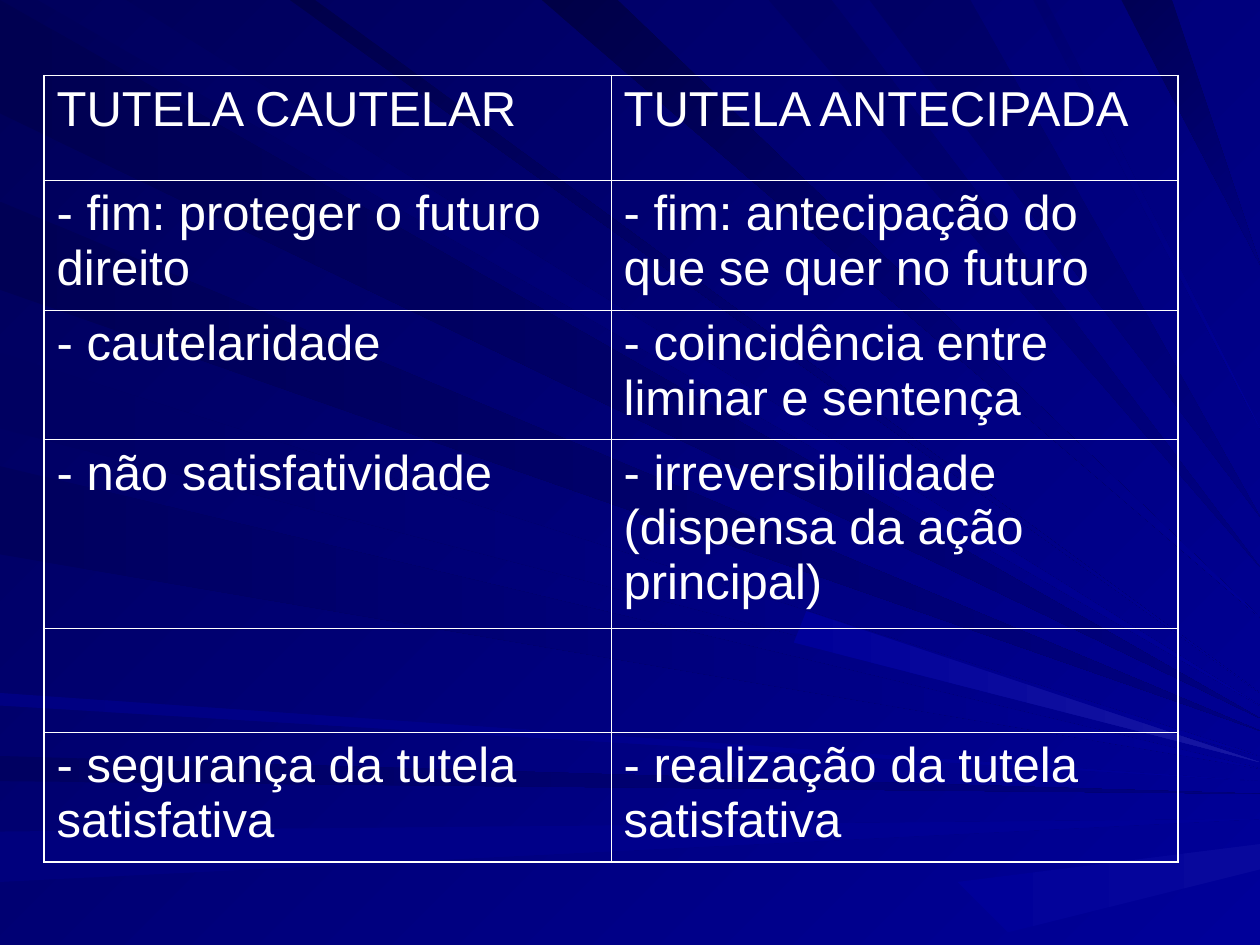
"""Build a slide comparing two kinds of legal relief over a background of blue rays."""
from lxml import etree
from pptx import Presentation
from pptx.dml.color import RGBColor
from pptx.oxml.ns import qn
from pptx.util import Inches, Pt

WHITE, BLUE, NAVY, GLINT = "FFFFFF", "000099", "000080", "1717A2"
OUTER_WIDTH, INNER_WIDTH = Pt(1.08), Pt(0.45)
ROW_HEIGHTS = (0.83, 1.03, 1.03, 1.5, 0.82, 1.03)
COMPARISON = (
    ("TUTELA CAUTELAR", "TUTELA ANTECIPADA"),
    ("- fim: proteger o futuro direito", "- fim: antecipação do que se quer no futuro"),
    ("- cautelaridade", "- coincidência entre liminar e sentença"),
    ("- não satisfatividade", "- irreversibilidade (dispensa da ação principal)"),
    ("", ""),
    ("- segurança da tutela satisfativa", "- realização da tutela satisfativa"),
)
LEFT_RAYS = (
    ("000051", NAVY, 0, 0.9, 5.7),
    ("000061", NAVY, 6, 6.2, 6.3),
    ("00007D", BLUE, 6.6, 7, 6.5),
    ("000055", NAVY, 1.6, 2.3, 5.8),
    ("000061", BLUE, 2.8, 3.4, 6),
    ("00005D", BLUE, 3.7, 4.4, 6.1),
    ("000082", BLUE, 5.5, 5.6, 6.2),
)
TOP_RAYS = (
    ("00005D", BLUE, 0.3, 1, 5.6),
    ("000047", BLUE, 4.3, 4.9, 4.9),
    ("000065", NAVY, 6.1, 6.6, 4.5),
    ("000055", NAVY, 8.9, 9.3, 2.1),
    ("00004A", BLUE, 2.3, 2.5, 5.5),
    ("000065", NAVY, 6.9, 7.7, 4.1),
    ("00006F", BLUE, 8.2, 8.3, 3.4),
)


def color(hex_value):
    return RGBColor.from_string(hex_value)


def paint(fill, start, end, angle):
    fill.gradient()
    fill.gradient_angle = 360 - angle
    for stop, shade in zip(fill.gradient_stops, (start, end)):
        stop.color.rgb = color(shade)


def add_ray(slide, start, end, angle, corners):
    points = [(Inches(x), Inches(y)) for x, y in corners]
    outline = slide.shapes.build_freeform(*points[0])
    outline.add_line_segments(points[1:], close=True)
    ray = outline.convert_to_shape()
    paint(ray.fill, start, end, angle)
    ray.line.fill.background()
    ray.shadow.inherit = False


def add_rays(slide):
    for start, end, upper, lower, tip in LEFT_RAYS:
        add_ray(slide, start, end, 0, ((0, upper), (0, lower), (10, tip)))
    for start, end, near, far, tip in TOP_RAYS:
        add_ray(slide, start, end, 45, ((near, 0), (far, 0), (10, tip)))
    add_ray(slide, BLUE, GLINT, 0, ((6.3, 5.1), (6.4, 4.85), (10, 6.05)))
    add_ray(slide, BLUE, "08089C", 0, ((7.6, 7), (10, 6.7), (10, 6.9), (8, 7.4)))


def set_borders(cell, outer_edges):
    properties = cell._tc.get_or_add_tcPr()
    for position, (edge, is_outer) in enumerate(outer_edges.items()):
        border = etree.Element(qn(f"a:ln{edge}"), w=str(OUTER_WIDTH if is_outer else INNER_WIDTH))
        solid = etree.SubElement(border, qn("a:solidFill"))
        etree.SubElement(solid, qn("a:srgbClr"), val=WHITE)
        properties.insert(position, border)


def write_cell(cell, text):
    cell.fill.background()
    cell.text = text
    paragraph = cell.text_frame.paragraphs[0]
    paragraph.space_before = Pt(7)
    paragraph.font.name = "Arial"
    paragraph.font.size = Pt(28)
    paragraph.font.color.rgb = color(WHITE)


def add_comparison(slide):
    last_row, last_column = len(COMPARISON) - 1, len(COMPARISON[0]) - 1
    comparison = slide.shapes.add_table(
        last_row + 1, last_column + 1,
        Inches(0.35), Inches(0.6), Inches(9), Inches(sum(ROW_HEIGHTS))).table
    comparison.first_row = comparison.horz_banding = False
    for r, (height, texts) in enumerate(zip(ROW_HEIGHTS, COMPARISON)):
        comparison.rows[r].height = Inches(height)
        for c, text in enumerate(texts):
            cell = comparison.cell(r, c)
            write_cell(cell, text)
            set_borders(cell, {"L": c == 0, "R": c == last_column,
                               "T": r == 0, "B": r == last_row})


def main():
    presentation = Presentation()
    presentation.slide_width, presentation.slide_height = Inches(10), Inches(7.5)
    slide = presentation.slides.add_slide(presentation.slide_layouts[6])
    paint(slide.background.fill, "000058", BLUE, 45)
    add_rays(slide)
    add_comparison(slide)
    presentation.save("out.pptx")


main()
